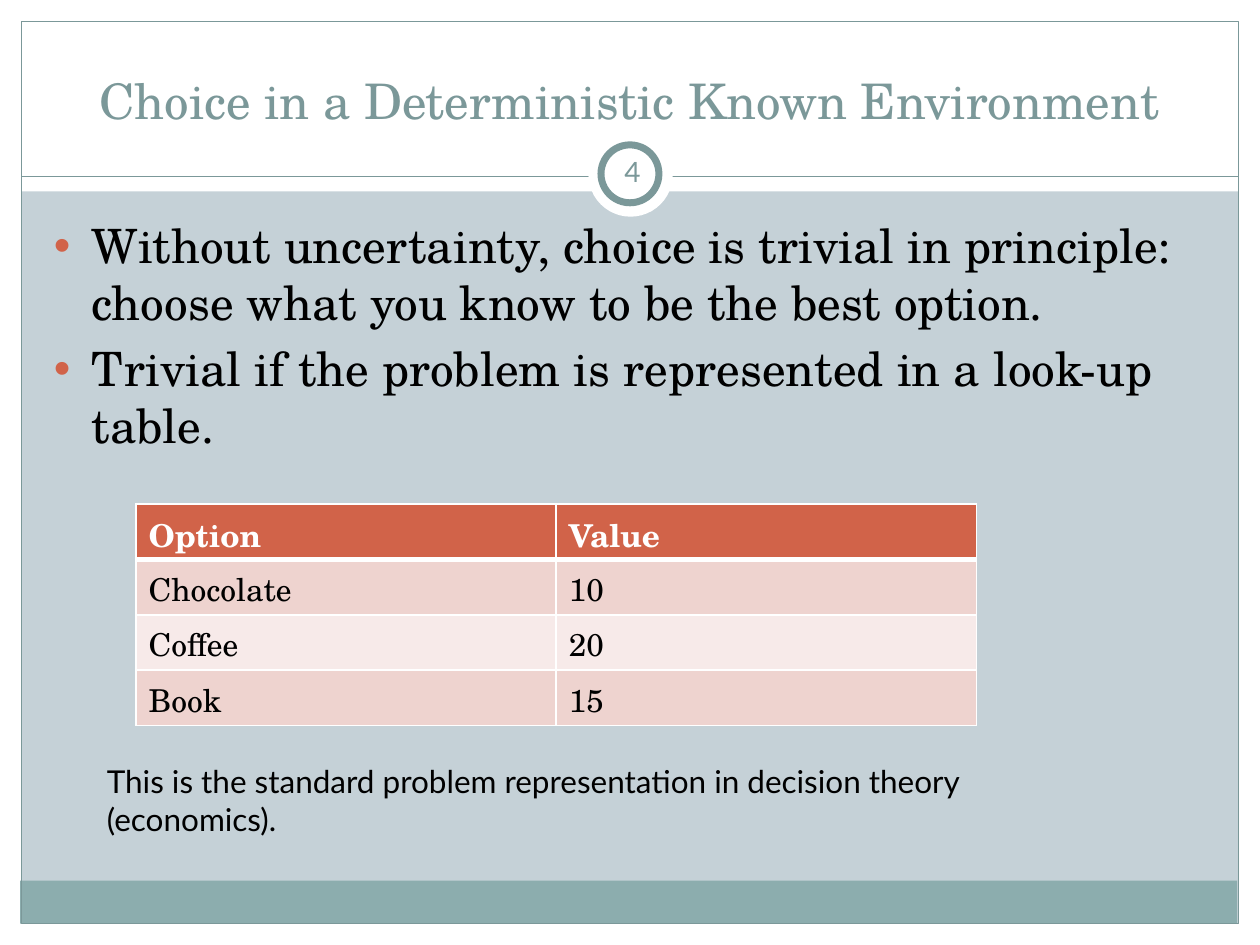
"""Build a slide on choice in a deterministic known environment."""
import pptx
import pptx.dml.color
import pptx.enum.shapes
import pptx.enum.text
import pptx.oxml
import pptx.oxml.ns
import pptx.util

Inches = pptx.util.Inches
Pt = pptx.util.Pt
SHAPE = pptx.enum.shapes.MSO_SHAPE
ANCHOR = pptx.enum.text.MSO_ANCHOR
ALIGN = pptx.enum.text.PP_ALIGN
SERIF, SANS = "TeX Gyre Schola", "Lato"
WHITE, BLACK, TEAL, RUST = "FFFFFF", "000000", "7B9899", "D16349"
BULLETS = [
    "Without uncertainty, choice is trivial in principle: "
    "choose what you know to be the best option.",
    "Trivial if the problem is represented in a look-up table.",
]
ROWS = [("Option", "Value"), ("Chocolate", "10"), ("Coffee", "20"), ("Book", "15")]


def rgb(color):
    """Turn a hex string into a colour."""
    return pptx.dml.color.RGBColor.from_string(color)


def xml(tag, attrs="", inner=""):
    """Make a DrawingML element."""
    ns = pptx.oxml.ns.nsdecls("a")
    return pptx.oxml.parse_xml(f"<a:{tag} {ns} {attrs}>{inner}</a:{tag}>")


def fill_xml(color):
    """Give the markup of a solid fill."""
    return f'<a:solidFill><a:srgbClr val="{color}"/></a:solidFill>'


def style(p, size, font, color, bold=False):
    """Format every run of a paragraph."""
    for r in p.runs:
        r.font.size = Pt(size)
        r.font.name = font
        r.font.bold = bold
        r.font.color.rgb = rgb(color)


def add_panel(s, box, fill=None, line=None, width=0.75, kind=SHAPE.RECTANGLE):
    """Add a flat shape with an optional fill and outline."""
    sp = s.shapes.add_shape(kind, *map(Inches, box))
    sp.shadow.inherit = False
    if fill:
        sp.fill.solid()
        sp.fill.fore_color.rgb = rgb(fill)
    else:
        sp.fill.background()
    if line:
        sp.line.color.rgb = rgb(line)
        sp.line.width = Pt(width)
    else:
        sp.line.fill.background()


def add_rule(s, x1, x2, y):
    """Add a thin horizontal line."""
    c = s.shapes.add_connector(
        pptx.enum.shapes.MSO_CONNECTOR.STRAIGHT,
        Inches(x1), Inches(y), Inches(x2), Inches(y))
    c.line.color.rgb = rgb(TEAL)
    c.line.width = Pt(0.75)
    c._element.spPr.append(xml("effectLst"))


def add_frame(s):
    """Draw the margins, header, footer band and number badge."""
    for box in [(0, 7.33, 10, 0.17), (0, 0, 10, 1.52),
                (0, 0, 0.17, 7.5), (9.83, 0, 0.17, 7.5)]:
        add_panel(s, box, WHITE)
    add_panel(s, (0.16, 6.99, 9.66, 0.34), "8CADAE")
    add_panel(s, (0.17, 0.17, 9.66, 7.16), line=TEAL)
    add_rule(s, 0.17, 9.83, 1.4)
    add_panel(s, (4.67, 1.05, 0.67, 0.67), WHITE, kind=SHAPE.OVAL)
    add_panel(s, (4.77, 1.15, 0.46, 0.46), WHITE, TEAL, 4, SHAPE.OVAL)


def set_title(s, text):
    """Place the title above the frame and format it."""
    title = s.shapes.title
    s.shapes.element.append(title.element)
    title.left, title.top = Inches(0.33), Inches(0.25)
    title.width, title.height = Inches(9.33), Inches(0.83)
    tf = title.text_frame
    tf.text = text
    tf.vertical_anchor = ANCHOR.BOTTOM
    tf.paragraphs[0].alignment = ALIGN.CENTER
    style(tf.paragraphs[0], 28, SERIF, TEAL)


def add_text(s, box, text, size, font, color):
    """Add a wrapping text box and return its text frame."""
    tf = s.shapes.add_textbox(*map(Inches, box)).text_frame
    tf.word_wrap = True
    tf.text = text
    for p in tf.paragraphs:
        style(p, size, font, color)
    return tf


def add_bullets(s, box, items):
    """Add a bulleted list."""
    tf = add_text(s, box, "\n".join(items), 27, SERIF, BLACK)
    for i, p in enumerate(tf.paragraphs):
        p.space_before = Pt(5.4 if i else 0)
        pPr = p._p.get_or_add_pPr()
        pPr.set("marL", str(Inches(0.3)))
        pPr.set("indent", str(-Inches(0.3)))
        pPr.append(xml("buClr", inner=f'<a:srgbClr val="{RUST}"/>'))
        pPr.append(xml("buFont", 'typeface="Arial"'))
        pPr.append(xml("buChar", 'char="•"'))


def set_borders(cell, top, bottom):
    """Give a cell white borders, with widths in points."""
    tcPr = cell._tc.get_or_add_tcPr()
    widths = {"lnL": 0.96, "lnR": 0.96, "lnT": top, "lnB": bottom}
    for i, (tag, width) in enumerate(widths.items()):
        tcPr.insert(i, xml(tag, f'w="{Pt(width)}"', fill_xml(WHITE)))


def add_value_table(s, box, rows):
    """Add the table of options with a header and banded rows."""
    table = s.shapes.add_table(len(rows), len(rows[0]), *map(Inches, box)).table
    for i, row in enumerate(rows):
        table.rows[i].height = Inches(0.44)
        fill = RUST if i == 0 else ("EED3CF" if i % 2 else "F7EAE9")
        for j, text in enumerate(row):
            cell = table.cell(i, j)
            cell.text = text
            cell.fill.solid()
            cell.fill.fore_color.rgb = rgb(fill)
            style(cell.text_frame.paragraphs[0], 18, SERIF,
                  BLACK if i else WHITE, bold=i == 0)
            set_borders(cell, 3 if i == 1 else 0.96, 3 if i == 0 else 0.96)


def add_number(s, box, text):
    """Add the slide number inside the badge."""
    tf = add_text(s, box, text, 16, SANS, TEAL)
    tf.vertical_anchor = ANCHOR.MIDDLE
    tf.margin_left = tf.margin_right = Inches(0.05)
    tf.margin_top = tf.margin_bottom = Inches(0.05)
    tf.paragraphs[0].alignment = ALIGN.CENTER


def main():
    """Build and save the slide."""
    prs = pptx.Presentation()
    prs.slide_width, prs.slide_height = Inches(10), Inches(7.5)
    s = prs.slides.add_slide(prs.slide_layouts[5])
    s.background.fill.solid()
    s.background.fill.fore_color.rgb = rgb("C5D1D7")
    add_frame(s)
    set_title(s, "Choice in a Deterministic Known Environment")
    add_bullets(s, (0.33, 1.67, 9.3, 5), BULLETS)
    add_value_table(s, (1.08, 4, 6.67, 1.76), ROWS)
    add_text(s, (0.75, 6, 7.58, 0.71),
             "This is the standard problem representation in decision theory "
             "(economics).", 18, SANS, BLACK)
    add_number(s, (4.77, 1.12, 0.5, 0.48), "4")
    prs.save("out.pptx")


if __name__ == "__main__":
    main()
